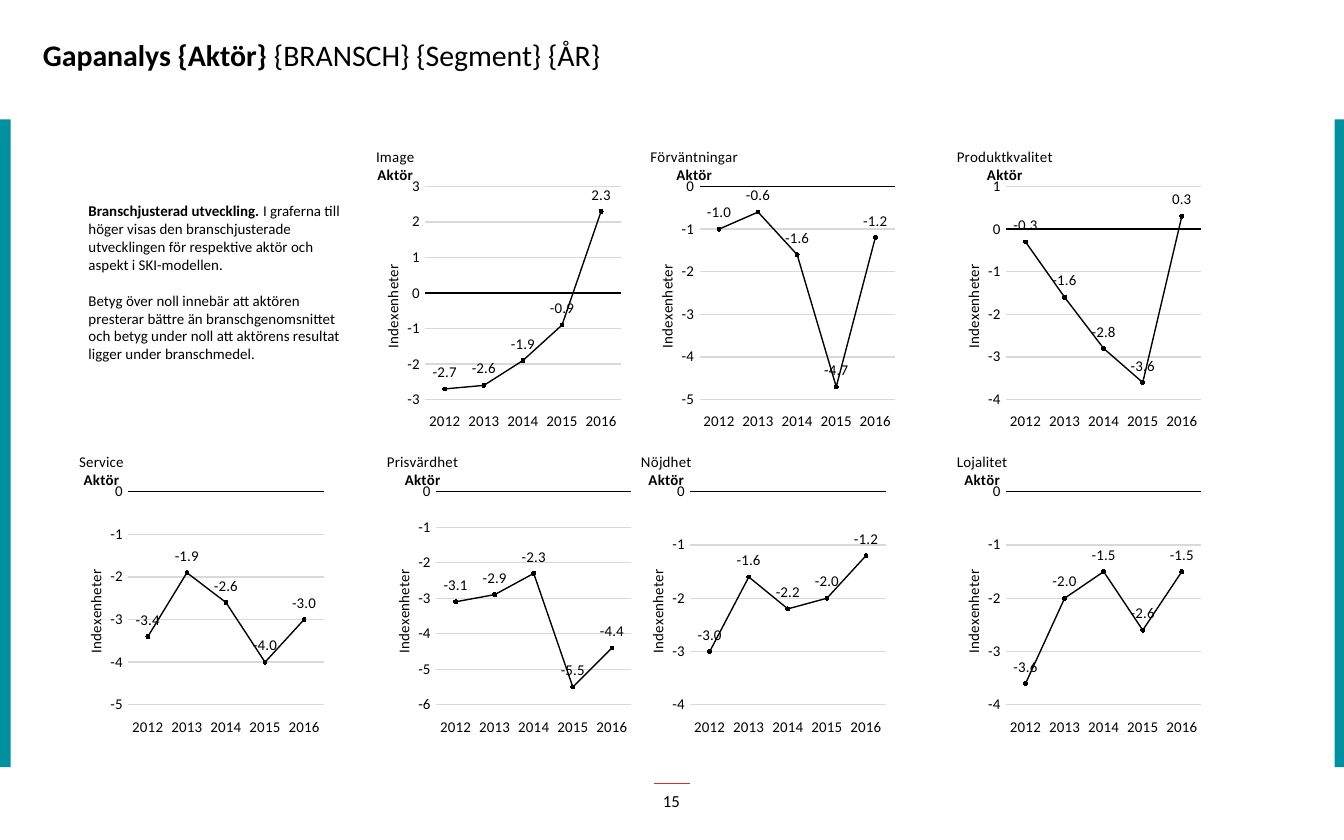
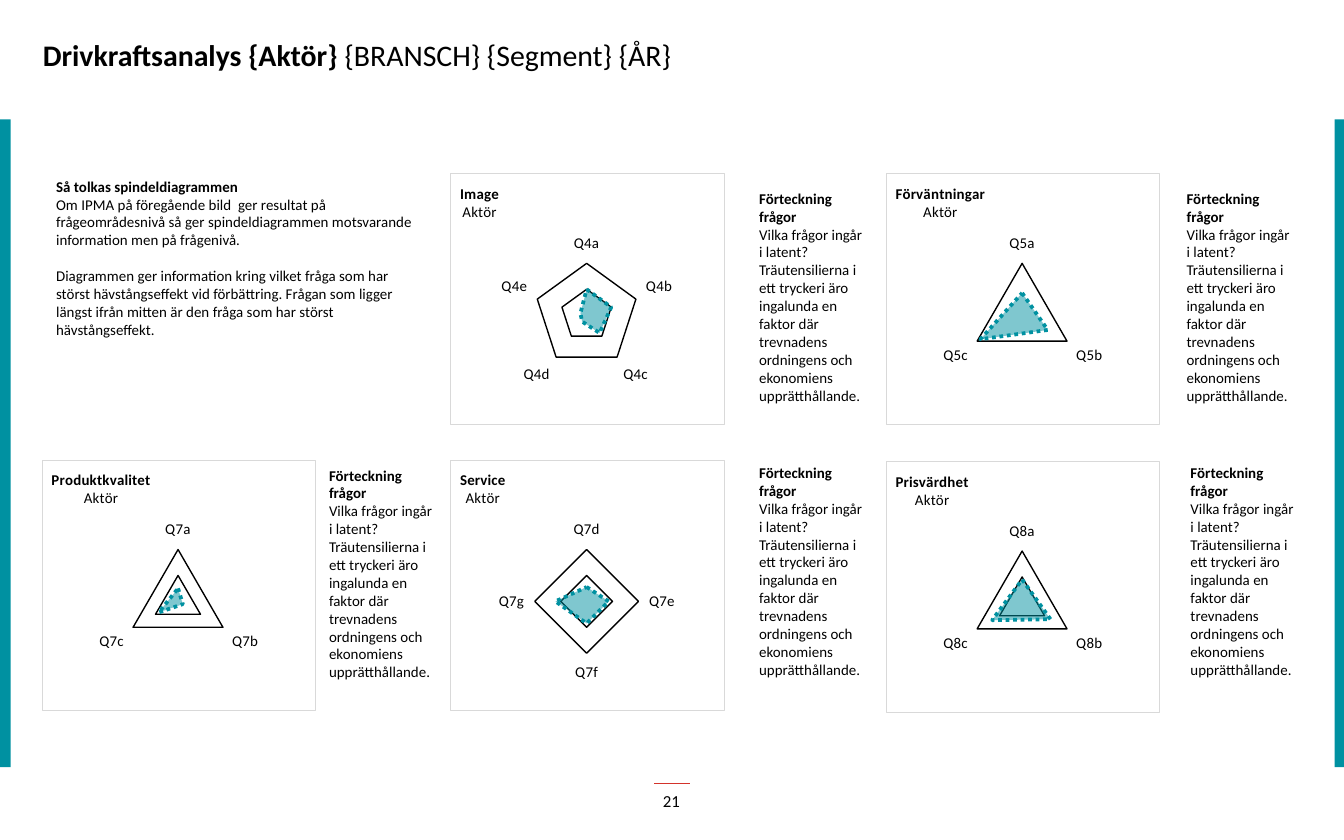
from lxml import etree
from pptx import Presentation
from pptx.chart.data import CategoryChartData
from pptx.dml.color import RGBColor
from pptx.enum.chart import (XL_CHART_TYPE, XL_LABEL_POSITION, XL_MARKER_STYLE,
                             XL_TICK_LABEL_POSITION, XL_TICK_MARK)
from pptx.enum.dml import MSO_LINE
from pptx.enum.shapes import MSO_CONNECTOR, MSO_SHAPE
from pptx.enum.text import MSO_ANCHOR, MSO_AUTO_SIZE, PP_ALIGN
from pptx.oxml import parse_xml
from pptx.oxml.ns import nsdecls, qn
from pptx.util import Pt

LINE, RADAR = XL_CHART_TYPE.LINE_MARKERS, XL_CHART_TYPE.RADAR_FILLED
NO_TICK, LOW = XL_TICK_MARK.NONE, XL_TICK_LABEL_POSITION.LOW
ABOVE, CIRCLE, DOTTED = XL_LABEL_POSITION.ABOVE, XL_MARKER_STYLE.CIRCLE, MSO_LINE.ROUND_DOT
STRAIGHT, RECTANGLE = MSO_CONNECTOR.STRAIGHT, MSO_SHAPE.RECTANGLE
MIDDLE, LEFT, CENTER = MSO_ANCHOR.MIDDLE, PP_ALIGN.LEFT, PP_ALIGN.CENTER
NO_AUTOFIT = MSO_AUTO_SIZE.NONE

BLACK = RGBColor(0x00, 0x00, 0x00)
TEAL = RGBColor(0x00, 0x91, 0xA1)
RED = RGBColor(0xD3, 0x33, 0x2B)
GRID = RGBColor(0xD9, 0xD9, 0xD9)
FONT = "Calibri"
SMALL = 8
BLANK_LINE = 9.75

# Content: text is a list of paragraphs, each a list of (words, bold)
TITLE_END = "{BRANSCH} {Segment} {ÅR}"
ACTOR = "Aktör"
AXIS_TITLE = "Indexenheter"

GAP_TITLE = "Gapanalys {Aktör} "
GAP_INTRO = [
    [("Branschjusterad utveckling. ", True),
     ("I graferna till höger visas den branschjusterade utvecklingen för "
      "respektive aktör och aspekt i SKI-modellen.", False)],
    [("Betyg över noll innebär att aktören presterar bättre än branschgenomsnittet "
      "och betyg under noll att aktörens resultat ligger under branschmedel.", False)],
]
YEARS = ["2012", "2013", "2014", "2015", "2016"]
GAP_TOP, GAP_BOTTOM = 72.7, 236.2
GAP_SIZE = (141.1, 158.4)
# aspect, left, top, axis minimum, axis maximum, values
GAPS = [
    ("Image", 195.1, GAP_TOP, -3, 3, (-2.7, -2.6, -1.9, -0.9, 2.3)),
    ("Förväntningar", 342, GAP_TOP, -5, 0, (-1.0, -0.6, -1.6, -4.7, -1.2)),
    ("Produktkvalitet", 506.2, GAP_TOP, -4, 1, (-0.3, -1.6, -2.8, -3.6, 0.3)),
    ("Service", 36, GAP_BOTTOM, -5, 0, (-3.4, -1.9, -2.6, -4.0, -3.0)),
    ("Prisvärdhet", 200.9, GAP_BOTTOM, -6, 0, (-3.1, -2.9, -2.3, -5.5, -4.4)),
    ("Nöjdhet", 337, GAP_BOTTOM, -4, 0, (-3.0, -1.6, -2.2, -2.0, -1.2)),
    ("Lojalitet", 506.2, GAP_BOTTOM, -4, 0, (-3.6, -2.0, -1.5, -2.6, -1.5)),
]

DRIVER_TITLE = "Drivkraftsanalys {Aktör} "
DRIVER_INTRO = [
    [("Så tolkas spindeldiagrammen", True)],
    [("Om IPMA på föregående bild  ger resultat på frågeområdesnivå så ger "
      "spindeldiagrammen motsvarande information men på frågenivå.", False)],
    [("Diagrammen ger information kring vilket fråga som har störst hävstångseffekt "
      "vid förbättring. Frågan som ligger längst ifrån mitten är den fråga som har "
      "störst hävstångseffekt.", False)],
]
QUESTION_LIST = [
    [("Förteckning frågor", True)],
    [("Vilka frågor ingår i latent? Träutensilierna i ett tryckeri äro ingalunda en "
      "faktor där trevnadens ordningens och ekonomiens upprätthållande.", False)],
]
DRIVER_SIZE = (146.9, 134.6)
QUESTION_SIZE = (69.8, 123.8)
# aspect, chart place, question list place, axis minimum, axis step, effects
DRIVERS = [
    ("Image", (241.2, 92.9), (399.6, 97.9), 80, 20,
     {"Q4a": 100, "Q4b": 100, "Q4c": 97, "Q4d": 86, "Q4e": 85}),
    ("Förväntningar", (474.5, 92.9), (628.6, 97.9), 87, 14,
     {"Q5a": 93, "Q5b": 95, "Q5c": 100}),
    ("Produktkvalitet", (22.3, 246.2), (169.2, 246.2), 88, 14,
     {"Q7a": 95, "Q7b": 91, "Q7c": 100}),
    ("Service", (241.2, 246.2), (399.6, 244.8), 76, 20,
     {"Q7d": 87, "Q7e": 93, "Q7f": 93, "Q7g": 100}),
    ("Prisvärdhet", (474.5, 247), (630.7, 244.8), 60, 30,
     {"Q8a": 87, "Q8b": 98, "Q8c": 100}),
]
ONE_RING = {"Förväntningar"}


# Text
def style(font, size=SMALL, bold=False):
    font.name, font.size, font.bold = FONT, Pt(size), bold
    font.color.rgb = BLACK


def write(frame, paragraphs, size=SMALL, align=LEFT):
    for i, runs in enumerate(paragraphs):
        paragraph = frame.paragraphs[0] if i == 0 else frame.add_paragraph()
        paragraph.alignment = align
        for words, bold in runs:
            run = paragraph.add_run()
            run.text = words
            style(run.font, size, bold)
    return frame


def add_text(slide, place, extent, paragraphs, **options):
    frame = slide.shapes.add_textbox(*map(Pt, place + extent)).text_frame
    frame.word_wrap = True
    return write(frame, paragraphs, **options)


# Shared slide frame: title, side bands, page number
def add_page(deck, topic, number):
    slide = deck.slides.add_slide(deck.slide_layouts[5])
    title = slide.shapes.title
    title.left, title.top, title.width, title.height = map(Pt, (15.8, 3.6, 396.7, 51.8))
    title.text_frame.vertical_anchor = MIDDLE
    title.text_frame.auto_size = NO_AUTOFIT
    write(title.text_frame, [[(topic, True), (TITLE_END, False)]], size=16)

    for left in (-2.9, 715):
        band = slide.shapes.add_shape(RECTANGLE, Pt(left), Pt(64), Pt(8.6), Pt(347))
        band.shadow.inherit = False
        band.fill.solid()
        band.fill.fore_color.rgb = TEAL
        band.line.fill.background()

    rule = slide.shapes.add_connector(STRAIGHT, Pt(350.6), Pt(419.8), Pt(369.4), Pt(419.8))
    rule.line.color.rgb, rule.line.width = RED, Pt(0.25)
    etree.SubElement(rule._element.spPr, qn("a:effectLst"))

    footer = add_text(slide, (275.8, 416.9), (167.8, 23.8), [[(number, False)]],
                      size=9, align=CENTER)
    footer.vertical_anchor = MIDDLE
    return slide


# Chart parts
def set_layout(parent, index, inner=False, **fractions):
    """Give a title or plot area a manual place, as fractions of the chart."""
    for old in parent.findall(qn("c:layout")):
        parent.remove(old)
    target = '<c:layoutTarget val="inner"/>' if inner else ""
    modes = "".join(f'<c:{axis}Mode val="edge"/>' for axis in "xy")
    parts = "".join(f'<c:{key} val="{value}"/>' for key, value in fractions.items())
    parent.insert(index, parse_xml(
        f'<c:layout {nsdecls("c")}><c:manualLayout>{target}{modes}{parts}'
        '</c:manualLayout></c:layout>'))


def set_frame(chart, fill, border):
    space = chart._chartSpace
    space.find(qn("c:chart")).addnext(parse_xml(
        f'<c:spPr {nsdecls("c", "a")}>{fill}<a:ln w="3175">{border}</a:ln></c:spPr>'))


def paint_line(line, color, width=0.75):
    line.color.rgb, line.width = color, Pt(width)


def add_chart(slide, kind, place, extent, labels, values, low, high, step):
    data = CategoryChartData()
    data.categories = labels
    data.add_series("Series 1", values)
    chart = slide.shapes.add_chart(kind, *map(Pt, place + extent), data).chart
    style(chart.font)
    chart.has_legend = False
    chart.plots[0].vary_by_categories = False
    scale = chart.value_axis
    scale.minimum_scale, scale.maximum_scale, scale.major_unit = low, high, step
    scale.has_major_gridlines = True
    for axis in (chart.category_axis, scale):
        axis.major_tick_mark = axis.minor_tick_mark = NO_TICK
        style(axis.tick_labels.font)
    return chart


def add_chart_title(chart, aspect, aspect_bold, x):
    title = chart.chart_title
    write(title.text_frame, [[(aspect, aspect_bold)], [(ACTOR, not aspect_bold)]],
          align=CENTER)
    set_layout(title._element, 1, x=x, y=0.02)


def plot_area(chart):
    return chart._chartSpace.chart.plotArea


def add_gap_chart(slide, aspect, left, top, low, high, values):
    chart = add_chart(slide, LINE, (left, top), GAP_SIZE, YEARS, values, low, high, 1)
    set_frame(chart, "<a:noFill/>", "<a:noFill/>")
    add_chart_title(chart, aspect, False, 0.03)
    set_layout(plot_area(chart), 0, inner=True, x=0.232, y=0.172, w=0.742, h=0.721)

    years, scale = chart.category_axis, chart.value_axis
    years.tick_label_position = LOW
    paint_line(years.format.line, BLACK)
    scale.format.line.fill.background()
    paint_line(scale.major_gridlines.format.line, GRID)
    scale.tick_labels.number_format = "0"
    scale.tick_labels.number_format_is_linked = False
    unit = scale.axis_title
    write(unit.text_frame, [[(AXIS_TITLE, False)]], align=CENTER)
    turned = unit.text_frame._txBody.find(qn("a:bodyPr"))
    turned.set("rot", "-5400000")
    turned.set("vert", "horz")
    set_layout(unit._element, 1, x=0.06, y=0.425)

    trend = chart.plots[0].series[0]
    trend.smooth = False
    paint_line(trend.format.line, BLACK)
    trend.marker.style, trend.marker.size = CIRCLE, 2
    trend.marker.format.fill.solid()
    trend.marker.format.fill.fore_color.rgb = BLACK
    paint_line(trend.marker.format.line, BLACK)
    labels = trend.data_labels
    labels.show_value, labels.position = True, ABOVE
    labels.number_format, labels.number_format_is_linked = "0.0", False
    style(labels.font)


def add_driver_chart(slide, aspect, place, low, step, effects):
    high = low + step * (1 if aspect in ONE_RING else 2)
    chart = add_chart(slide, RADAR, place, DRIVER_SIZE, list(effects),
                      list(effects.values()), low, high, step)
    set_frame(chart, '<a:solidFill><a:srgbClr val="FFFFFF"/></a:solidFill>',
              f'<a:solidFill><a:srgbClr val="{GRID}"/></a:solidFill>')
    add_chart_title(chart, aspect, True, 0.02)
    set_layout(plot_area(chart), 0, inner=True, x=0.308, y=0.246, w=0.379, h=0.638)

    questions = chart.category_axis
    questions.has_major_gridlines = True
    paint_line(questions.format.line, GRID)
    paint_line(questions.major_gridlines.format.line, GRID)
    paint_line(chart.value_axis.major_gridlines.format.line, BLACK)
    chart.value_axis.visible = False

    effect_area = chart.plots[0].series[0]
    web = effect_area.format
    web.fill.solid()
    web.fill.fore_color.rgb = TEAL
    paint_line(web.line, TEAL, 2)
    web.line.dash_style = DOTTED
    color = effect_area._element.spPr.find(f"{qn('a:solidFill')}/{qn('a:srgbClr')}")
    etree.SubElement(color, qn("a:alpha")).set("val", "50000")


def main():
    deck = Presentation()
    deck.slide_width, deck.slide_height = Pt(720), Pt(450)

    # Gap analysis
    gap_page = add_page(deck, GAP_TITLE, "15")
    intro = add_text(gap_page, (40.3, 104.4), (154.8, 94.3), GAP_INTRO)
    intro.paragraphs[-1].space_before = Pt(BLANK_LINE)
    for gap in GAPS:
        add_gap_chart(gap_page, *gap)

    # Driver analysis
    driver_page = add_page(deck, DRIVER_TITLE, "21")
    intro = add_text(driver_page, (23, 91.4), (206.6, 104.4), DRIVER_INTRO)
    intro.paragraphs[-1].space_before = Pt(BLANK_LINE)
    for aspect, chart_place, list_place, low, step, effects in DRIVERS:
        add_driver_chart(driver_page, aspect, chart_place, low, step, effects)
        add_text(driver_page, list_place, QUESTION_SIZE, QUESTION_LIST)

    deck.save("out.pptx")


if __name__ == "__main__":
    main()
